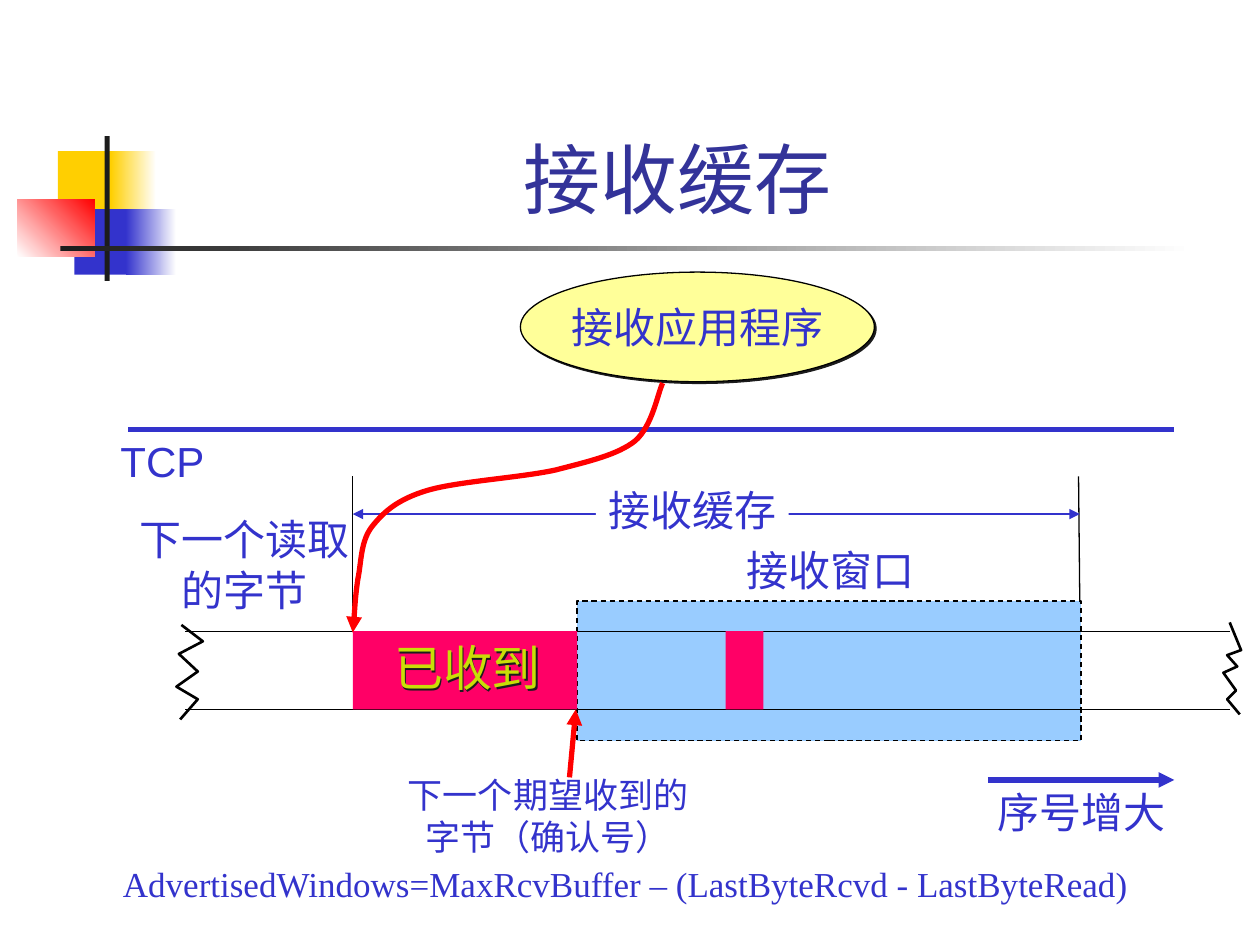
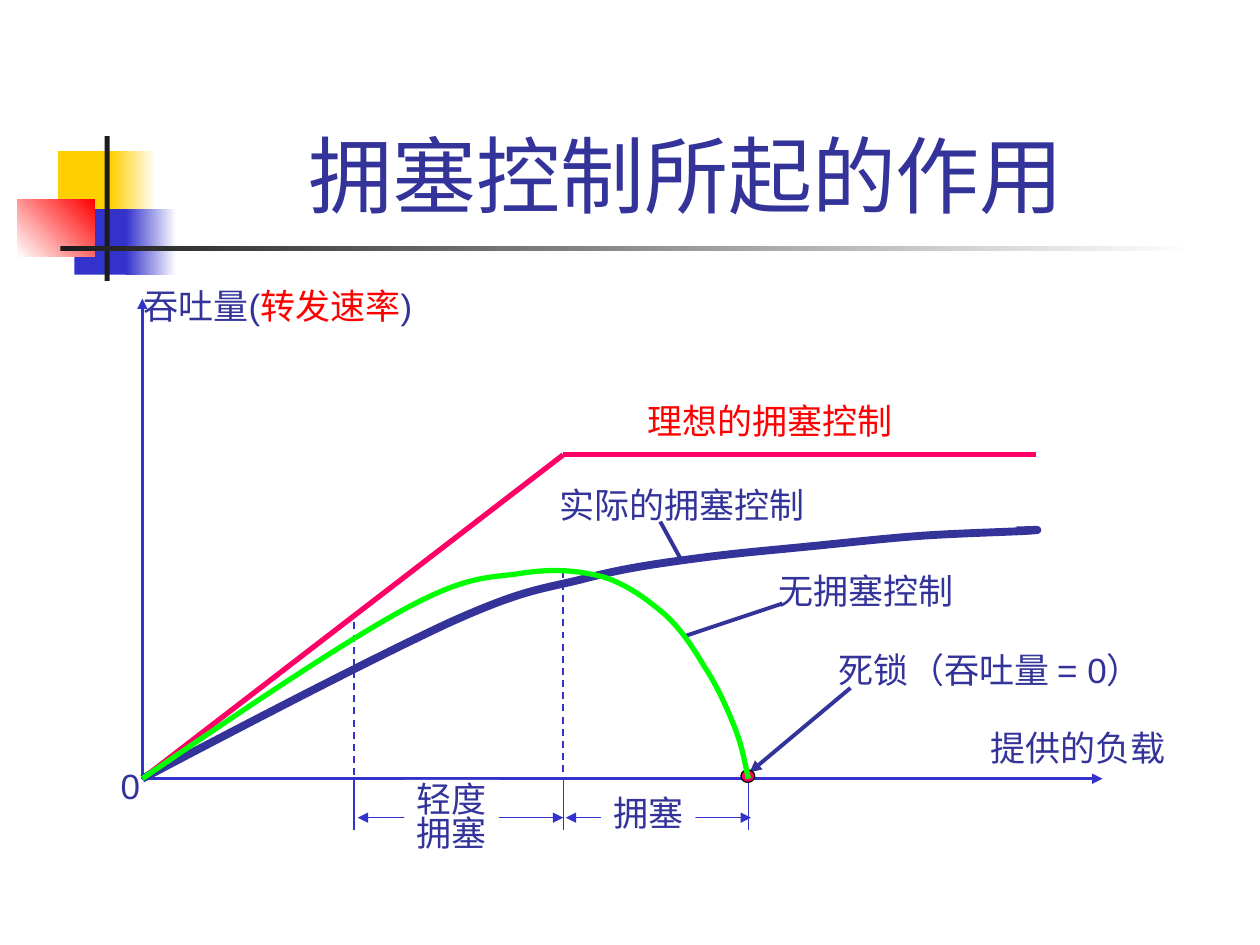
import pptx
import pptx.dml.color
import pptx.enum.dml
import pptx.enum.shapes
import pptx.enum.text
import pptx.oxml
import pptx.oxml.ns
import pptx.util

Inches = pptx.util.Inches
Pt = pptx.util.Pt
SHAPES = pptx.enum.shapes.MSO_SHAPE
AUTO = pptx.enum.text.MSO_AUTO_SIZE
ANCHOR = pptx.enum.text.MSO_ANCHOR
ALIGN = {"left": pptx.enum.text.PP_ALIGN.LEFT, "center": pptx.enum.text.PP_ALIGN.CENTER}

COLORS = {
    "white": "FFFFFF", "black": "000000", "ink": "1C1C1C", "gold": "FFCF01",
    "blue": "3333CC", "navy": "333399", "red": "FF0000", "pink": "FF0066",
    "sky": "99CCFF", "cream": "FFFF99", "lime": "C9DE06", "green": "00FF00",
}

BAND = [
    ((0.46, 1.2, 0.48, 0.52), "gold", None, 0),
    ((0.88, 1.2, 0.36, 0.52), "gold", "white", 0),
    ((0.59, 1.66, 0.46, 0.52), "blue", None, 0),
    ((1, 1.66, 0.4, 0.52), "blue", "white", 0),
    ((0.14, 1.58, 0.61, 0.46), "white", "red", 45),
    ((0.83, 1.08, 0.04, 1.15), "ink", None, 0),
    ((0.48, 1.95, 9, 0.04), "ink", "white", 0),
]

READ, EXPECTED, BUFFER_END = 2.8, 4.58, 8.57
STREAM_TOP, STREAM_BOTTOM = 5.01, 5.63
STREAM_HEIGHT = STREAM_BOTTOM - STREAM_TOP

RECEIVE_BUFFER = {
    "title": ("接收缓存", 44, 8.23),
    "text": {"size": 24, "color": "blue"},
    "backdrops": [
        dict(at=(EXPECTED, 4.77, 4, 1.11), fill="sky", outline="black", dash=True),
    ],
    "lines": [
        dict(points=[(1.02, 3.41), (9.32, 3.41)], color="blue", width=3),
        *[dict(points=[(1.47, y), (9.76, y)], color="black", width=0.75)
          for y in (STREAM_TOP, STREAM_BOTTOM)],
        dict(points=[(READ, 3.78), (READ, STREAM_TOP)], color="black", width=0.75),
        dict(points=[(8.56, 3.78), (BUFFER_END, 4.77)], color="black", width=0.75),
        dict(points=[(READ, 4.08), (BUFFER_END, 4.08)], color="blue", width=0.75, arrows="both"),
        dict(points=[(7.84, 6.19), (9.32, 6.19)], color="blue", width=3, arrows="end"),
    ],
    "boxes": [
        dict(at=(4.13, 2.16, 2.81, 0.87), kind=SHAPES.OVAL, fill="cream", outline="black",
             shadow=True, text=["接收应用程序"]),
        dict(at=(READ, STREAM_TOP, EXPECTED - READ, STREAM_HEIGHT), fill="pink"),
        dict(at=(5.76, STREAM_TOP, 0.3, STREAM_HEIGHT), fill="pink"),
    ],
    "labels": [
        dict(at=(3.03, 5.01, 1.36, 0.57), text=["已收到"], size=28, color="lime", shadow=True),
        dict(at=(5.83, 4.27, 1.53, 0.5), text=["接收窗口"]),
        dict(at=(0.86, 3.41, 0.86, 0.5), text=["TCP"], align="center"),
        dict(at=(4.73, 3.8, 1.53, 0.5), text=["接收缓存"], fill="white"),
        dict(at=(1.01, 4.03, 1.86, 0.9), text=["下一个读取", "的字节"], align="center"),
        dict(at=(7.82, 6.19, 1.53, 0.5), text=["序号增大"], align="center"),
        dict(at=(3.14, 6.09, 2.42, 0.77), text=["下一个期望收到的", "字节（确认号）"],
             size=20, align="center"),
        dict(at=(0.63, 6.8, 8.67, 0.44), size=20, font="Times New Roman", align="center", wrap=True,
             text=["AdvertisedWindows=MaxRcvBuffer – (LastByteRcvd - LastByteRead)"]),
    ],
    "outlines": [
        dict(curved=True, color="red", width=3, arrows="end", points=[
            (5.26, 3.04), (5.22, 3.12), (5.18, 3.38), (5.04, 3.5),
            (4.9, 3.61), (4.68, 3.66), (4.41, 3.73), (4.14, 3.79), (3.64, 3.82), (3.4, 3.89),
            (3.16, 3.96), (3.05, 4.06), (2.96, 4.17), (2.86, 4.29), (2.87, 4.46), (2.84, 4.6),
            (2.82, 4.74), (2.81, 4.93), (2.8, 5.02)]),
        dict(color="black", width=1.5, points=[
            (9.76, 4.94), (9.85, 5.16), (9.74, 5.2), (9.82, 5.29),
            (9.71, 5.34), (9.81, 5.48), (9.74, 5.55), (9.84, 5.67)]),
        dict(color="black", width=1.5, points=[
            (1.44, 4.96), (1.61, 5.09), (1.42, 5.19), (1.57, 5.33),
            (1.4, 5.45), (1.57, 5.55), (1.43, 5.71)]),
    ],
    "pointers": [
        dict(points=[(4.52, 6.17), (4.57, STREAM_BOTTOM)], color="red", width=3, arrows="end"),
    ],
}

ORIGIN = (1.13, 6.18)
AXIS = ORIGIN[1]
MILD, PEAK, DEADLOCK = 2.81, 4.47, 5.94
KNEE = (PEAK, 3.61)

CONGESTION_CONTROL = {
    "title": ("拥塞控制所起的作用 ", 48, 8.52),
    "text": {"size": 20, "color": "navy"},
    "backdrops": [],
    "lines": [
        dict(points=[ORIGIN, (1.13, 2.37)], color="blue", width=1.5, arrows="end"),
        dict(points=[ORIGIN, KNEE], color="pink", width=3),
        dict(points=[KNEE, (8.22, 3.61)], color="pink", width=3),
        dict(points=[ORIGIN, (8.75, AXIS)], color="blue", width=1.5, arrows="end"),
        dict(points=[(5.24, 4.14), (5.41, 4.45)], color="navy", width=2.25),
        dict(points=[(6.21, 4.79), (5.43, 5.05)], color="navy", width=2.25),
        dict(points=[(6.75, 5.46), (5.95, 6.13)], color="navy", width=2.25, arrows="end"),
        *[dict(points=[(left, 6.49), (right, 6.49)], color="blue", width=0.75, arrows="both")
          for left, right in ((2.84, PEAK), (4.49, 5.96))],
        *[dict(points=[(x, AXIS), (x, 6.59)], color="blue", width=0.75)
          for x in (MILD, PEAK, DEADLOCK)],
        *[dict(points=[(x, top), (x, AXIS)], color="blue", width=1, dash=True)
          for x, top in ((MILD, 4.94), (PEAK, 4.53))],
    ],
    "boxes": [
        dict(at=(5.88, 6.11, 0.11, 0.1), kind=SHAPES.OVAL, fill="pink", outline="black"),
    ],
    "labels": [
        dict(at=(7.76, 5.72, 1.59, 0.44), text=["提供的负载"]),
        dict(at=(1.04, 2.21, 2.53, 0.44),
             text=[[("吞吐量(", "navy"), ("转发速率", "red"), (")", "navy")]]),
        dict(at=(5.04, 3.12, 2.15, 0.44), text=["理想的拥塞控制"], color="red"),
        dict(at=(4.34, 3.79, 2.15, 0.44), text=["实际的拥塞控制"]),
        dict(at=(0.86, 6.02, 0.35, 0.44), text=["0"]),
        dict(at=(6.56, 5.1, 2.81, 0.44), text=["死锁（吞吐量 = 0）"]),
        dict(at=(6.08, 4.47, 1.59, 0.44), text=["无拥塞控制"]),
        dict(at=(4.77, 6.23, 0.75, 0.44), text=["拥塞"], fill="white"),
        dict(at=(3.21, 6.19, 0.75, 0.64), text=["轻度", "拥塞"], fill="white", spacing=0.8),
    ],
    "outlines": [
        dict(curved=True, color="navy", width=4.5, points=[
            ORIGIN, (2.06, 5.69), (2.99, 5.21), (3.57, 4.94),
            (4.15, 4.68), (4.28, 4.68), (4.61, 4.6), (4.94, 4.51), (5.24, 4.47), (5.54, 4.43),
            (5.84, 4.39), (6.09, 4.37), (6.39, 4.34), (6.7, 4.31), (7.05, 4.27), (7.35, 4.25),
            (7.65, 4.23), (8.08, 4.22), (8.2, 4.21), (8.32, 4.2), (8.09, 4.21), (8.07, 4.21)]),
        dict(curved=True, color="green", width=3, points=[
            ORIGIN, (1.92, 5.64), (2.72, 5.1), (3.22, 4.83),
            (3.72, 4.56), (3.88, 4.59), (4.14, 4.55), (4.4, 4.51), (4.6, 4.53), (4.79, 4.58),
            (4.98, 4.64), (5.14, 4.76), (5.28, 4.88), (5.41, 5), (5.5, 5.14), (5.59, 5.29),
            (5.69, 5.44), (5.77, 5.62), (5.83, 5.77), (5.89, 5.92), (5.91, 6.05), (DEADLOCK, AXIS)]),
    ],
    "pointers": [],
}


def rgb(name):
    return pptx.dml.color.RGBColor.from_string(COLORS[name])


def inches(values):
    return [Inches(value) for value in values]


def drawing(tag, attributes="", inner=""):
    return pptx.oxml.parse_xml(
        f'<a:{tag} {pptx.oxml.ns.nsdecls("a")} {attributes}>{inner}</a:{tag}>')


def effects(offset=None):
    return drawing("effectLst", inner="" if offset is None else (
        f'<a:outerShdw dist="{Pt(offset)}" dir="2700000" algn="ctr" rotWithShape="0">'
        f'<a:srgbClr val="{COLORS["ink"]}"/></a:outerShdw>'))


def write(frame, text, size=20, color="blue", font="Arial", align="left", spacing=None,
          wrap=False, anchor=ANCHOR.TOP, auto_size=AUTO.NONE):
    frame.word_wrap = wrap
    frame.auto_size = auto_size
    frame.vertical_anchor = anchor
    for index, line in enumerate(text):
        paragraph = frame.add_paragraph() if index else frame.paragraphs[0]
        paragraph.alignment = ALIGN[align]
        if spacing:
            paragraph.line_spacing = spacing
        for words, ink in [(line, color)] if isinstance(line, str) else line:
            run = paragraph.add_run()
            run.text = words
            run.font.size = Pt(size)
            run.font.name = font
            run.font.color.rgb = rgb(ink)


def stroke(line, color, width, dash=False):
    line.color.rgb = rgb(color)
    line.width = Pt(width)
    if dash:
        line.dash_style = pptx.enum.dml.MSO_LINE.DASH


def add_arrows(shape, arrows):
    ends = {None: (), "end": ("tailEnd",), "both": ("headEnd", "tailEnd")}[arrows]
    outline = shape.element.spPr.find(pptx.oxml.ns.qn("a:ln"))
    for end in ends:
        outline.append(drawing(end, 'type="triangle"'))


def draw_box(slide, defaults, at, fill, kind=SHAPES.RECTANGLE, outline=None, dash=False,
             shadow=False, text=None, fade=None, angle=0):
    box = slide.shapes.add_shape(kind, *inches(at))
    box.shadow.inherit = False
    if fade:
        box.fill.gradient()
        box.fill.gradient_angle = angle
        for stop, name in zip(box.fill.gradient_stops, (fill, fade)):
            stop.color.rgb = rgb(name)
    else:
        box.fill.solid()
        box.fill.fore_color.rgb = rgb(fill)
    if outline:
        stroke(box.line, outline, 0.75, dash)
    else:
        box.line.fill.background()
    if shadow:
        properties = box.element.spPr
        properties.replace(properties.find(pptx.oxml.ns.qn("a:effectLst")), effects(1.4))
    if text:
        write(box.text_frame, text, align="center", anchor=ANCHOR.MIDDLE, **defaults)
    return box


def draw_line(slide, points, color, width, arrows=None, dash=False):
    start, end = points
    connector = slide.shapes.add_connector(
        pptx.enum.shapes.MSO_CONNECTOR.STRAIGHT, *inches(start + end))
    stroke(connector.line, color, width, dash)
    add_arrows(connector, arrows)
    connector.element.spPr.append(effects())


def bend(outline):
    segments = list(outline.element.iter(pptx.oxml.ns.qn("a:lnTo")))
    for first in range(0, len(segments), 3):
        curve = drawing("cubicBezTo")
        segments[first].addprevious(curve)
        for segment in segments[first:first + 3]:
            curve.append(segment[0])
            segment.getparent().remove(segment)


def draw_outline(slide, points, color, width, curved=False, arrows=None):
    start, *rest = [inches(point) for point in points]
    builder = slide.shapes.build_freeform(*start)
    builder.add_line_segments(rest, close=False)
    outline = builder.convert_to_shape()
    if curved:
        bend(outline)
    outline.shadow.inherit = False
    outline.fill.background()
    stroke(outline.line, color, width)
    add_arrows(outline, arrows)


def draw_label(slide, defaults, at, text, fill=None, shadow=False, **style):
    label = slide.shapes.add_textbox(*inches(at))
    frame = label.text_frame
    frame.margin_right = Inches(0.05)
    if style.get("align") == "center":
        frame.margin_left = frame.margin_right
    if fill:
        label.fill.solid()
        label.fill.fore_color.rgb = rgb(fill)
    if shadow:
        label.element.spPr.append(effects(1.4))
    write(frame, text, auto_size=AUTO.SHAPE_TO_FIT_TEXT, **{**defaults, **style})


def add_band(slide):
    layout = slide.slide_layout.shapes.element
    for number, (at, fill, fade, angle) in enumerate(BAND):
        part = draw_box(slide, {}, at, fill, fade=fade, angle=angle).element
        part.nvSpPr.cNvPr.set("id", str(20 + number))
        layout.insert(2 + number, part)


def build_slide(deck, content):
    slide = deck.slides.add_slide(deck.slide_layouts[5])
    if len(deck.slides) == 1:
        add_band(slide)
    defaults = content["text"]
    for backdrop in content["backdrops"]:
        draw_box(slide, defaults, **backdrop)
    heading, size, width = content["title"]
    title = slide.shapes.title
    title.left, title.top, title.width, title.height = inches((1.26, 0.23, width, 1.6))
    write(title.text_frame, [heading], size=size, color="navy", align="center",
          wrap=True, anchor=ANCHOR.BOTTOM)
    for line in content["lines"]:
        draw_line(slide, **line)
    for box in content["boxes"]:
        draw_box(slide, defaults, **box)
    for label in content["labels"]:
        draw_label(slide, defaults, **label)
    for outline in content["outlines"]:
        draw_outline(slide, **outline)
    for pointer in content["pointers"]:
        draw_line(slide, **pointer)


def main():
    deck = pptx.Presentation()
    deck.slide_width, deck.slide_height = inches((10, 7.5))
    for content in (RECEIVE_BUFFER, CONGESTION_CONTROL):
        build_slide(deck, content)
    deck.save("out.pptx")


if __name__ == "__main__":
    main()
